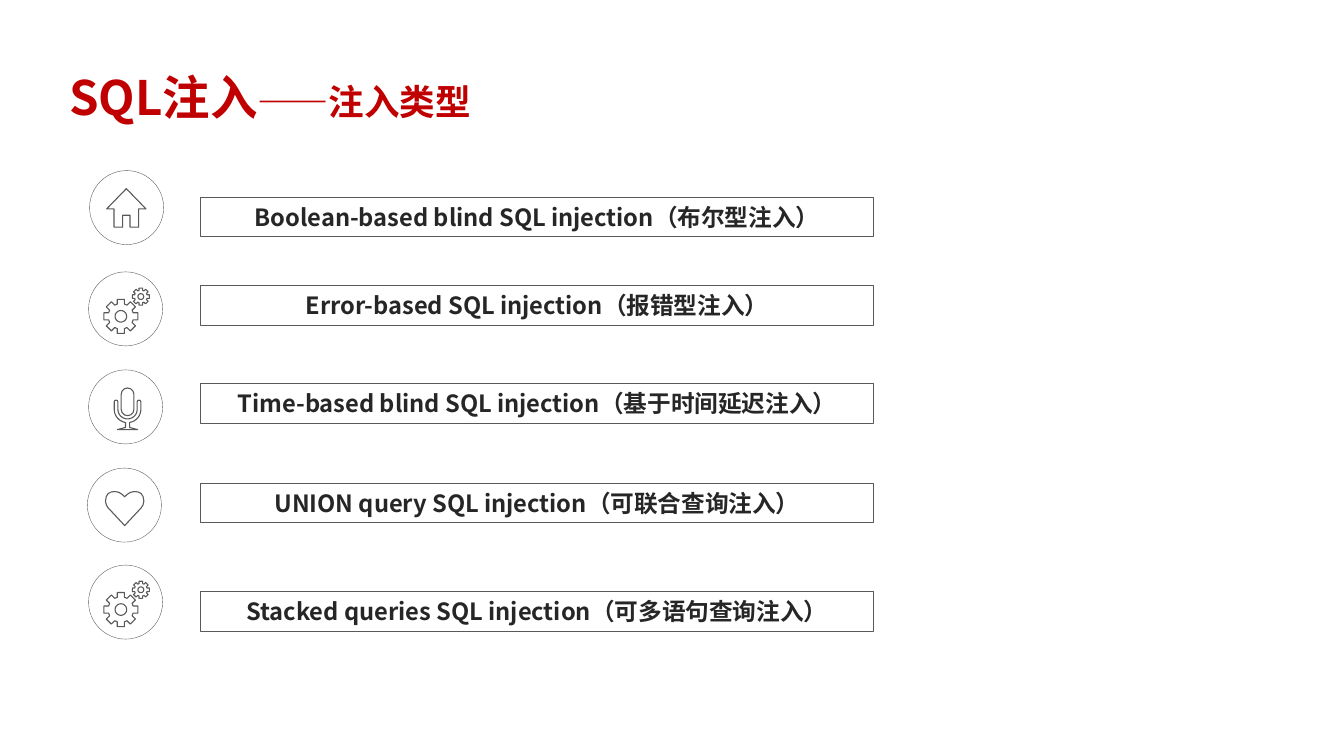
import math

import pptx
import pptx.dml.color
import pptx.enum.shapes
import pptx.enum.text
import pptx.oxml
import pptx.oxml.ns
import pptx.util

Pt = pptx.util.Pt
SHAPES = pptx.enum.shapes.MSO_SHAPE
MIDDLE = pptx.enum.text.MSO_ANCHOR.MIDDLE
CENTER = pptx.enum.text.PP_ALIGN.CENTER
RED = pptx.dml.color.RGBColor(0xC0, 0x00, 0x00)
INK = pptx.dml.color.RGBColor(0x26, 0x26, 0x26)
GREY = pptx.dml.color.RGBColor(0x59, 0x59, 0x59)
WHITE = pptx.dml.color.RGBColor(0xFF, 0xFF, 0xFF)
FONT = "Noto Sans CJK SC"


def add_run(paragraph, text, size, color):
    run = paragraph.add_run()
    run.text = text
    run.font.size = Pt(size)
    run.font.bold = True
    run.font.name = FONT
    run.font.color.rgb = color
    east_asian = pptx.oxml.parse_xml(
        f'<a:ea {pptx.oxml.ns.nsdecls("a")} typeface="{FONT}"/>')
    run.font._element.find(pptx.oxml.ns.qn("a:latin")).addnext(east_asian)


def arc(x, y, radius, start, end, step):
    return [(x + radius * math.cos(math.radians(angle)),
             y + radius * math.sin(math.radians(angle)))
            for angle in range(start, end, step)]


house = [(24.8, 12.2), (38.1, 25.9), (33.1, 25.9), (33.1, 38.2), (27.3, 38.2), (27.3, 30.2),
         (22.3, 30.2), (22.3, 38.2), (16.5, 38.2), (16.5, 25.9), (11.5, 25.9)]

gears = []
for x, y, radius in [(21.8, 30, 11.5), (35.3, 16.7, 5.76)]:
    teeth = []
    for angle in range(0, 360, 45):
        cos, sin = math.cos(math.radians(angle)), math.sin(math.radians(angle))
        for out, side in [(0.72, -0.21), (1, -0.21), (1, 0.21), (0.72, 0.21)]:
            teeth.append((x + radius * (out * cos - side * sin),
                          y + radius * (out * sin + side * cos)))
    gears.append([teeth, arc(x, y, radius * 0.34, 0, 360, 15)])

mic_x, mic_y = 26.3, 26.6
base = [(1.4, 8.9), (1.4, 12.3), (6.8, 13.7), (-6.8, 13.7), (-1.4, 12.3), (-1.4, 8.9)]
left_arm = [(-9, -5), (-8.6, -5.9), (-7.75, -6.2), (-6.9, -5.9), (-6.5, -5)]
right_arm = [(-x, y) for x, y in reversed(left_arm)]
stand = (arc(0, 0, 9, 0, 81, 10) + base + arc(0, 0, 9, 100, 181, 10) + left_arm
         + arc(0, 0, 6.5, 180, -1, -10) + right_arm)
stand = [(mic_x + x, mic_y + y) for x, y in stand]

heart_half = [(0, 3.6), (0.5, 3.04), (1.9, 1.8), (3.9, 0.56), (6.5, 0), (9, 0.3), (11.1, 1.35),
              (12.4, 3.34), (12.96, 6.48), (12.4, 9), (11.16, 11.1), (9.36, 12.96), (0, 23)]
heart = heart_half + [(-x, y) for x, y in reversed(heart_half[1:-1])]
heart = [(25.2 + x, 15.8 + y) for x, y in heart]

prs = pptx.Presentation()
prs.slide_width, prs.slide_height = Pt(907.2), Pt(510.5)
slide = prs.slides.add_slide(prs.slide_layouts[6])

title = slide.shapes.add_textbox(Pt(39.6), Pt(39.6), Pt(544.3), Pt(51.1)).text_frame
title.word_wrap = True
title.vertical_anchor = MIDDLE
add_run(title.paragraphs[0], "SQL注入", 32, RED)
add_run(title.paragraphs[0], "——注入类型", 24, RED)

injections = [
    ("Boolean-based blind SQL injection（布尔型注入）", 133.2, 60.5, 115.2, [[house]]),
    ("Error-based SQL injection（报错型注入）", 193, 59.8, 183.6, gears),
    ("Time-based blind SQL injection（基于时间延迟注入）", 259.2, 59.8, 249.8, [[stand]]),
    ("UNION query SQL injection（可联合查询注入）", 326.2, 59, 316.1, [[heart]]),
    ("Stacked queries SQL injection（可多语句查询注入）", 399.6, 59.8, 381.6, gears),
]
for label, bar_top, icon_left, icon_top, outlines in injections:
    icon = slide.shapes.add_group_shape()
    parts = []
    for contours in outlines:
        builder = None
        for contour in contours:
            points = [(x * 100, y * 100) for x, y in contour]
            if builder is None:
                builder = icon.shapes.build_freeform(*points[0], scale=Pt(0.01))
            else:
                builder.move_to(*points[0])
            builder.add_line_segments(points[1:], close=True)
        parts.append(builder.convert_to_shape(Pt(icon_left), Pt(icon_top)))
    if outlines == [[stand]]:
        capsule = icon.shapes.add_shape(SHAPES.ROUNDED_RECTANGLE, Pt(icon_left + 22),
                                        Pt(icon_top + 12.2), Pt(8.6), Pt(18.7))
        capsule.adjustments[0] = 0.5
        parts.append(capsule)
    for part in parts:
        part.shadow.inherit = False
        part.fill.solid()
        part.fill.fore_color.rgb = WHITE
        part.line.color.rgb = GREY
        part.line.width = Pt(0.75)

    ring = icon.shapes.add_shape(SHAPES.OVAL, Pt(icon_left), Pt(icon_top), Pt(50), Pt(50))
    bar = slide.shapes.add_shape(SHAPES.RECTANGLE, Pt(135.4), Pt(bar_top), Pt(454.3), Pt(26.6))
    for frame, width in [(ring, 0.25), (bar, 0.75)]:
        frame.shadow.inherit = False
        frame.fill.background()
        frame.line.color.rgb = GREY
        frame.line.width = Pt(width)
    bar.text_frame.word_wrap = True
    bar.text_frame.vertical_anchor = MIDDLE
    bar.text_frame.paragraphs[0].alignment = CENTER
    add_run(bar.text_frame.paragraphs[0], label, 16, INK)

prs.save("out.pptx")
